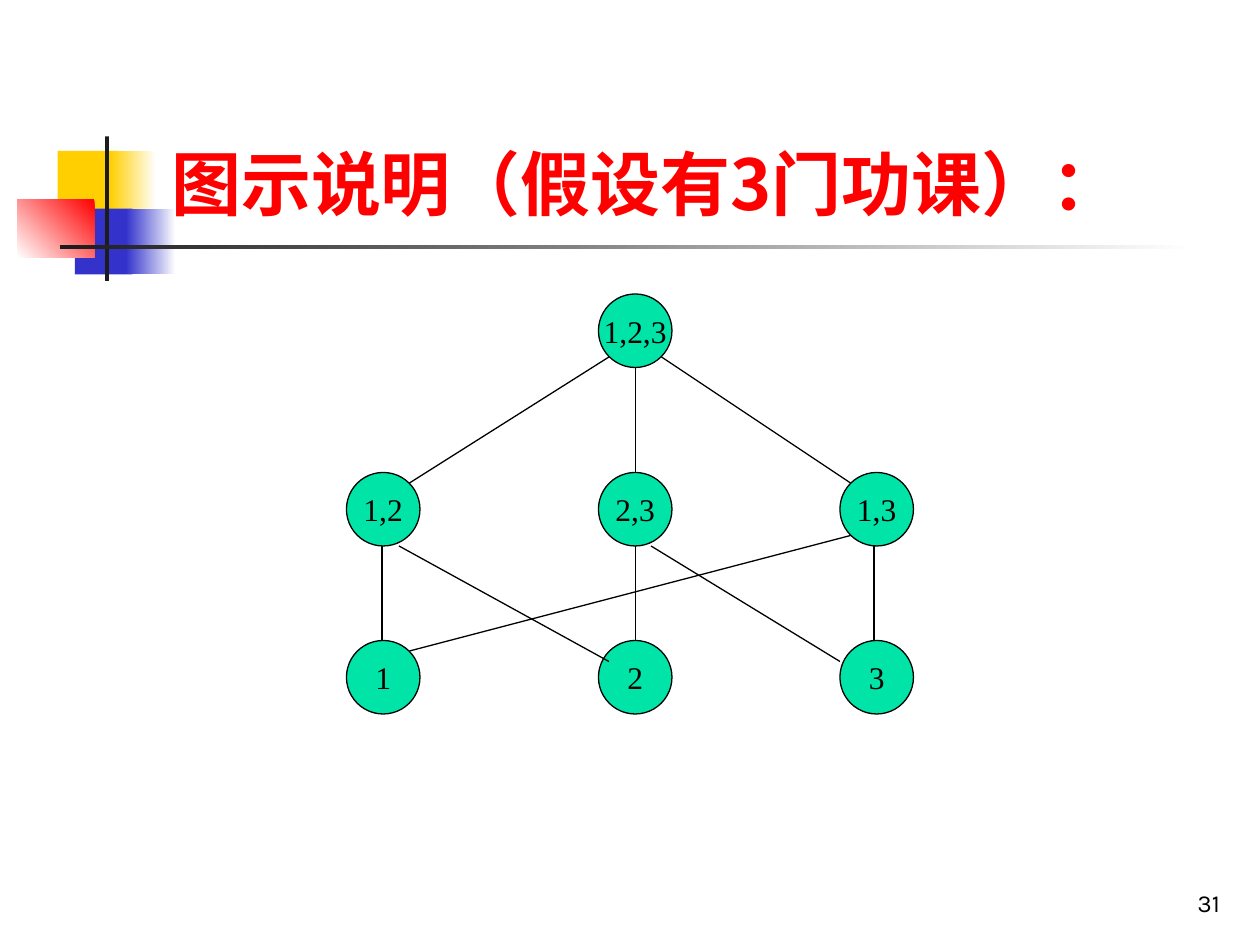
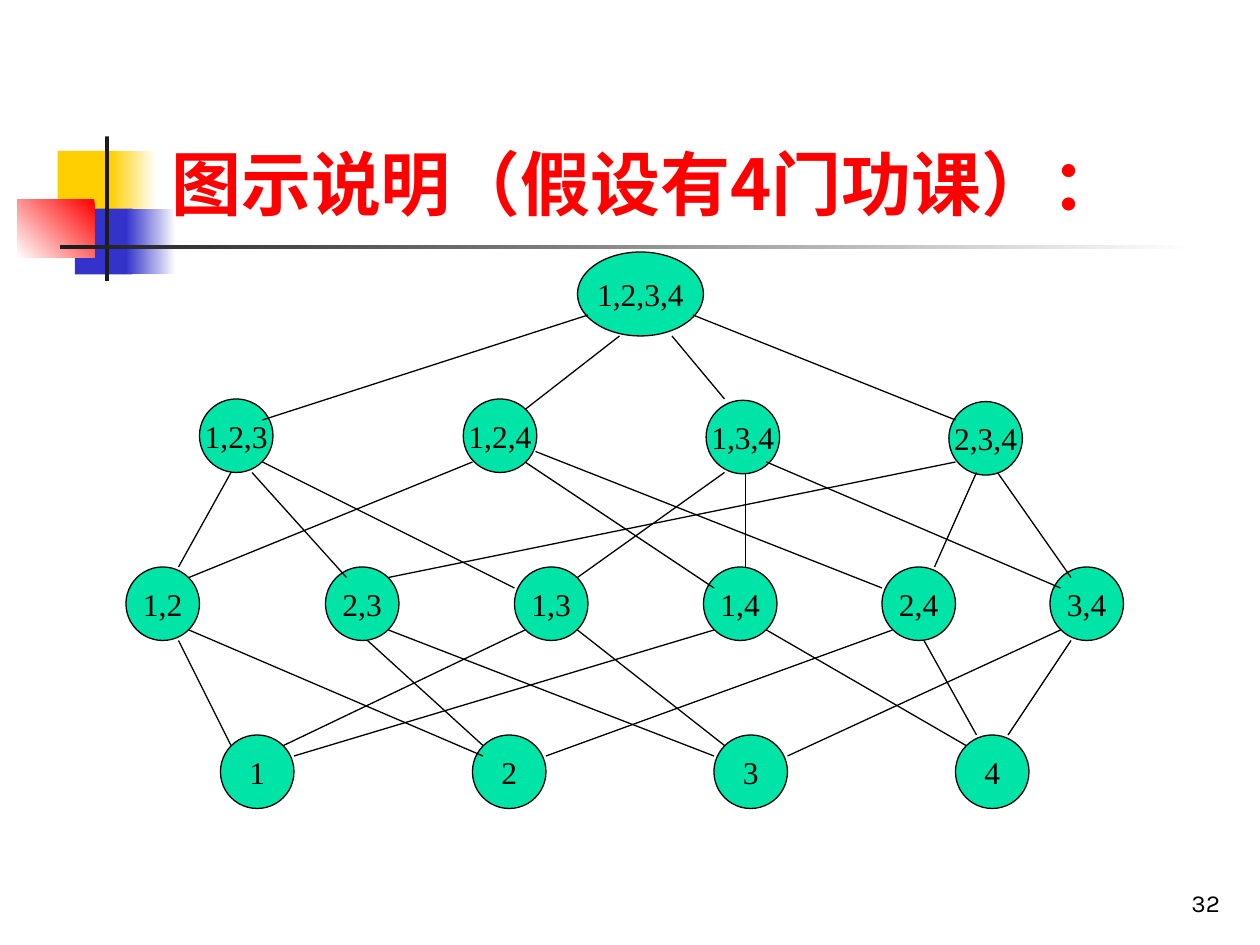
"""Build two slides that show the subset lattices of three and four courses."""
from dataclasses import dataclass
from typing import NamedTuple

from lxml import etree
from pptx import Presentation
from pptx import util as u
from pptx.dml.color import RGBColor
from pptx.enum import shapes, text
from pptx.oxml.ns import qn

EMU_PER_PX = 9525
RED, YELLOW, BLUE = "FF0000", "FFCF01", "3333CC"
WHITE, BLACK, DARK, GREEN = "FFFFFF", "000000", "1C1C1C", "00E4A8"
TITLE_FONT, NODE_FONT, NUMBER_FONT = "Noto Sans CJK SC", "Times New Roman", "Karla"
CIRCLE = 56


class Area(NamedTuple):
    left: int
    top: int
    width: int
    height: int


class Edge(NamedTuple):
    x1: int
    y1: int
    x2: int
    y2: int


class Band(NamedTuple):
    area: Area
    start: str
    end: str = ""
    angle: int = 180


class Node(NamedTuple):
    label: str
    area: Area


@dataclass
class Lattice:
    courses: int
    number: int
    nodes: list[Node]
    edges: list[Edge]


def circles(top: int, lefts: dict[str, int]) -> list[Node]:
    return [Node(label, Area(left, top, CIRCLE, CIRCLE)) for label, left in lefts.items()]


TITLE_AREA = Area(121, 22, 818, 154)
NUMBER_AREA = Area(739, 656, 200, 48)

BANDS = [
    Band(Area(44, 115, 46, 50), YELLOW),
    Band(Area(84, 115, 35, 50), WHITE, YELLOW),
    Band(Area(57, 159, 44, 50), BLUE),
    Band(Area(96, 159, 38, 50), WHITE, BLUE),
    Band(Area(13, 152, 59, 44), RED, WHITE, 225),
    Band(Area(80, 104, 3, 110), DARK),
    Band(Area(46, 187, 864, 3), WHITE, DARK),
]

LATTICES = [
    Lattice(
        courses=3,
        number=31,
        nodes=[
            *circles(488, {"1": 264, "2": 456, "3": 640}),
            *circles(360, {"1,2": 264, "2,3": 456, "1,3": 640}),
            *circles(224, {"1,2,3": 456}),
        ],
        edges=[
            Edge(291, 488, 291, 416),
            Edge(304, 416, 464, 504),
            Edge(484, 488, 484, 416),
            Edge(496, 416, 640, 504),
            Edge(312, 496, 648, 408),
            Edge(666, 416, 666, 488),
            Edge(312, 368, 464, 272),
            Edge(484, 280, 484, 360),
            Edge(504, 272, 648, 368),
        ],
    ),
    Lattice(
        courses=4,
        number=32,
        nodes=[
            *circles(560, {"1": 168, "2": 360, "3": 544, "4": 728}),
            *circles(432, {"1,2": 96, "2,3": 248, "1,3": 392,
                           "1,4": 536, "2,4": 672, "3,4": 800}),
            *circles(304, {"1,2,3": 152, "1,2,4": 353}),
            *circles(305, {"1,3,4": 538}),
            *circles(306, {"2,3,4": 723}),
            Node("1,2,3,4", Area(440, 192, 96, 64)),
        ],
        edges=[
            Edge(176, 568, 136, 488),
            Edge(144, 480, 368, 576),
            Edge(744, 560, 704, 488),
            Edge(280, 488, 368, 568),
            Edge(416, 576, 680, 480),
            Edge(440, 480, 552, 568),
            Edge(216, 568, 400, 480),
            Edge(224, 576, 544, 480),
            Edge(296, 480, 544, 576),
            Edge(600, 576, 808, 480),
            Edge(584, 480, 736, 568),
            Edge(768, 560, 816, 488),
            Edge(136, 432, 176, 360),
            Edge(192, 360, 264, 440),
            Edge(200, 352, 392, 448),
            Edge(144, 440, 360, 352),
            Edge(296, 440, 728, 352),
            Edge(440, 440, 552, 360),
            Edge(400, 352, 544, 448),
            Edge(408, 344, 672, 448),
            Edge(584, 352, 808, 448),
            Edge(760, 360, 816, 440),
            Edge(568, 360, 568, 432),
            Edge(712, 432, 744, 360),
            Edge(200, 320, 448, 240),
            Edge(400, 312, 472, 256),
            Edge(512, 256, 552, 304),
            Edge(528, 240, 728, 320),
        ],
    ),
]


def px(*lengths: int) -> list[u.Emu]:
    return [u.Emu(length * EMU_PER_PX) for length in lengths]


def rgb(value: str) -> RGBColor:
    return RGBColor.from_string(value)


def write(box, words: str, *, size: int, font: str, color: str = BLACK, bold: bool = False,
          align=text.PP_ALIGN.LEFT, anchor=text.MSO_ANCHOR.BOTTOM, wrap: bool = True) -> None:
    frame = box.text_frame
    frame.word_wrap = wrap
    frame.vertical_anchor = anchor
    para = frame.paragraphs[0]
    para.alignment = align
    span = para.add_run()
    span.text = words
    span.font.size = u.Pt(size)
    span.font.name = font
    span.font.bold = bold
    span.font.color.rgb = rgb(color)
    east_asian = etree.SubElement(span.font._element, qn("a:ea"))
    east_asian.set("typeface", font)


def draw_band(page, band: Band) -> None:
    bar = page.shapes.add_shape(shapes.MSO_SHAPE.RECTANGLE, *px(*band.area))
    bar.shadow.inherit = False
    bar.line.fill.background()
    if band.end:
        bar.fill.gradient()
        bar.fill.gradient_angle = band.angle
        for stop, color in zip(bar.fill.gradient_stops, (band.start, band.end)):
            stop.color.rgb = rgb(color)
    else:
        bar.fill.solid()
        bar.fill.fore_color.rgb = rgb(band.start)


def draw_node(page, node: Node) -> None:
    oval = page.shapes.add_shape(shapes.MSO_SHAPE.OVAL, *px(*node.area))
    oval.shadow.inherit = False
    oval.fill.solid()
    oval.fill.fore_color.rgb = rgb(GREEN)
    oval.line.color.rgb = rgb(BLACK)
    oval.line.width = u.Pt(0.75)
    write(oval, node.label, size=18, font=NODE_FONT, align=text.PP_ALIGN.CENTER,
          anchor=text.MSO_ANCHOR.MIDDLE, wrap=False)


def draw_edge(page, edge: Edge) -> None:
    line = page.shapes.add_connector(shapes.MSO_CONNECTOR.STRAIGHT, *px(*edge))
    line.line.color.rgb = rgb(BLACK)
    line.line.width = u.Pt(0.75)
    etree.SubElement(line._element.spPr, qn("a:effectLst"))


def draw_page(deck, lattice: Lattice) -> None:
    page = deck.slides.add_slide(deck.slide_layouts[6])
    for band in BANDS:
        draw_band(page, band)
    title = page.shapes.add_textbox(*px(*TITLE_AREA))
    write(title, f"图示说明（假设有{lattice.courses}门功课）：", size=40, font=TITLE_FONT,
          color=RED, bold=True)
    for node in lattice.nodes:
        draw_node(page, node)
    for edge in lattice.edges:
        draw_edge(page, edge)
    number = page.shapes.add_textbox(*px(*NUMBER_AREA))
    write(number, str(lattice.number), size=14, font=NUMBER_FONT, align=text.PP_ALIGN.RIGHT)


def main() -> None:
    deck = Presentation()
    deck.slide_width, deck.slide_height = px(960, 720)
    for lattice in LATTICES:
        draw_page(deck, lattice)
    deck.save("out.pptx")


if __name__ == "__main__":
    main()
